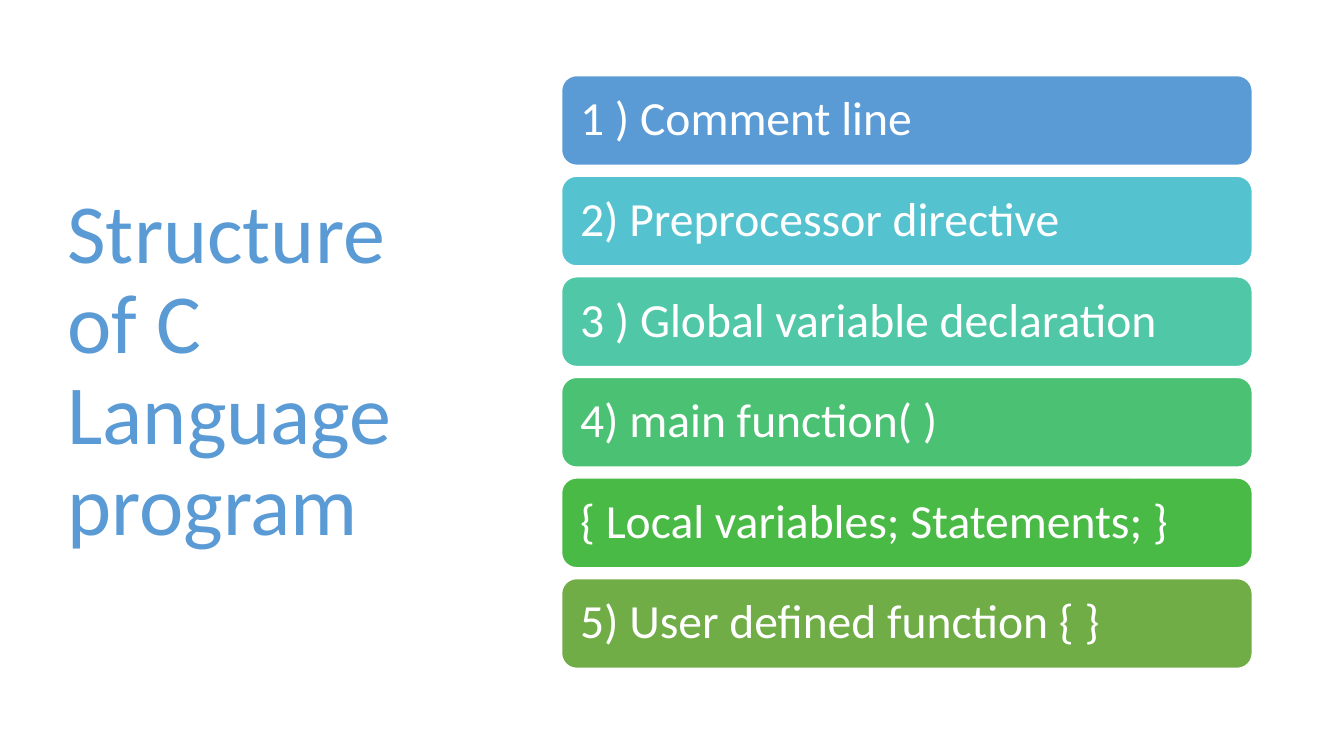
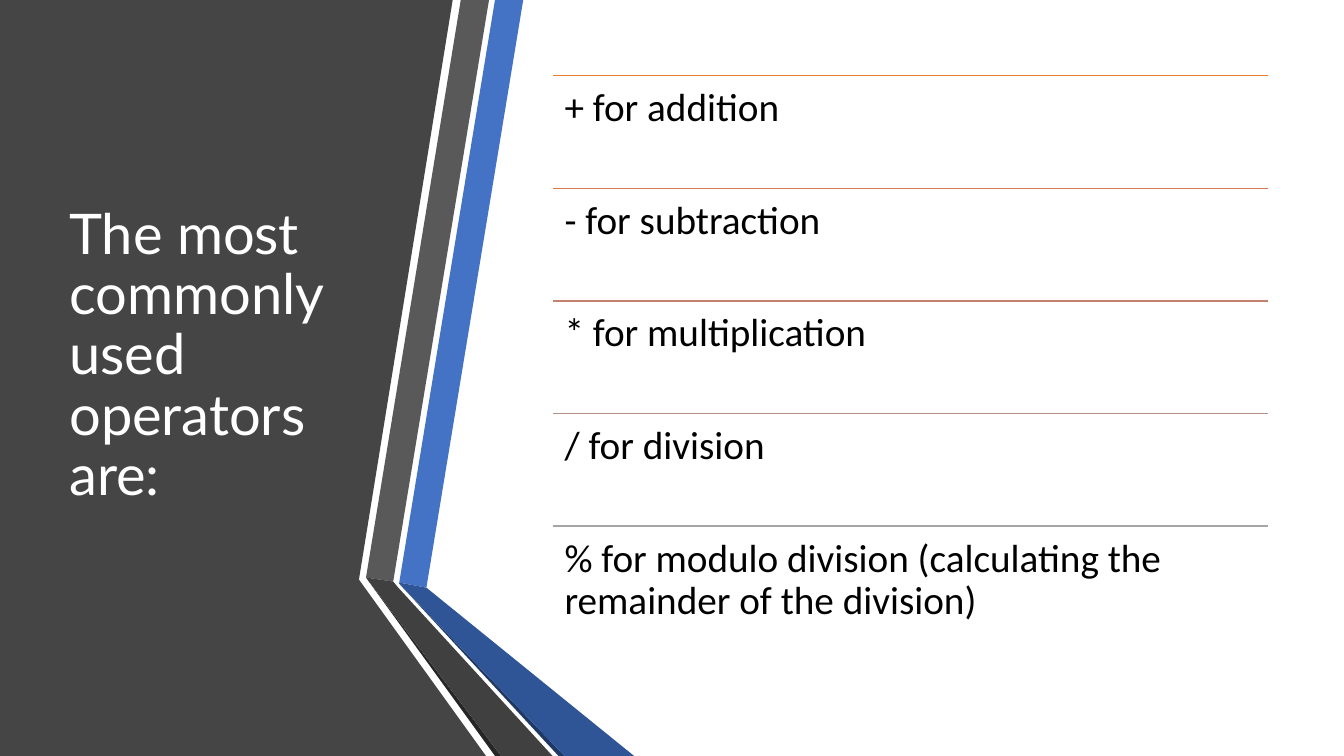
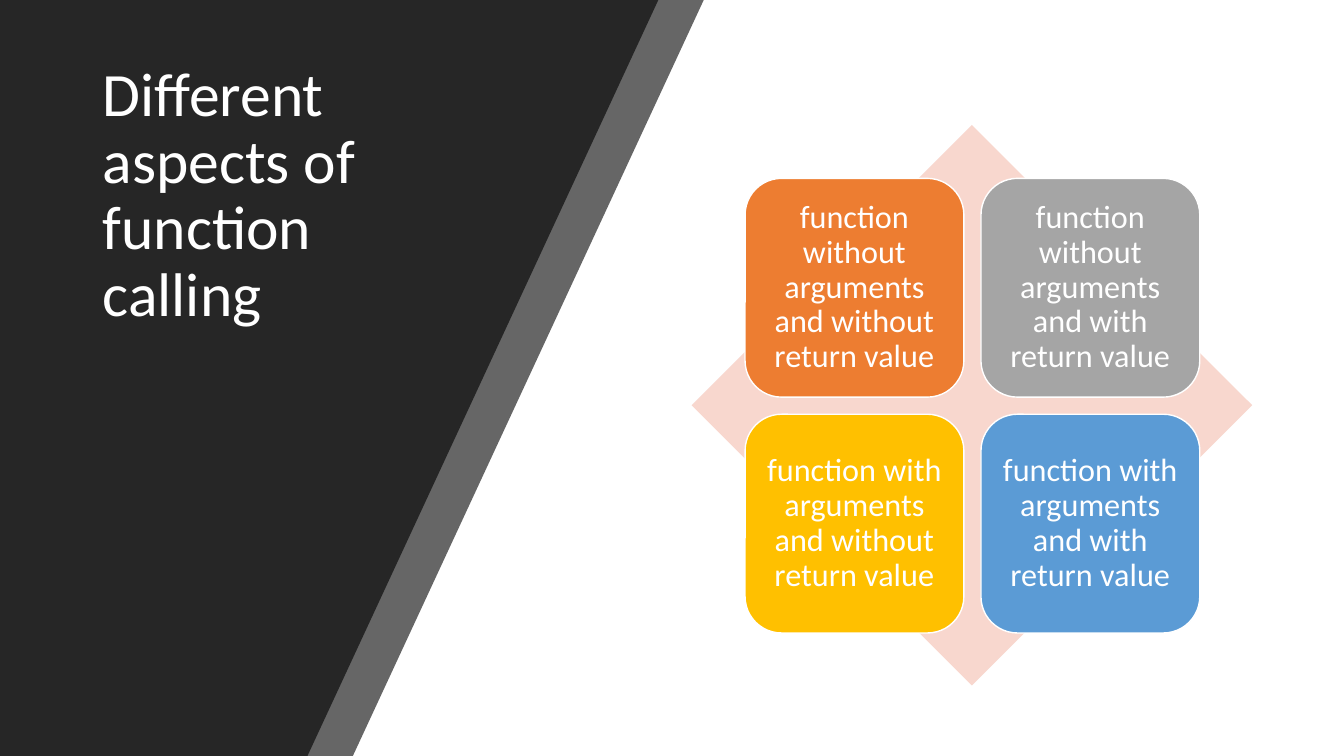
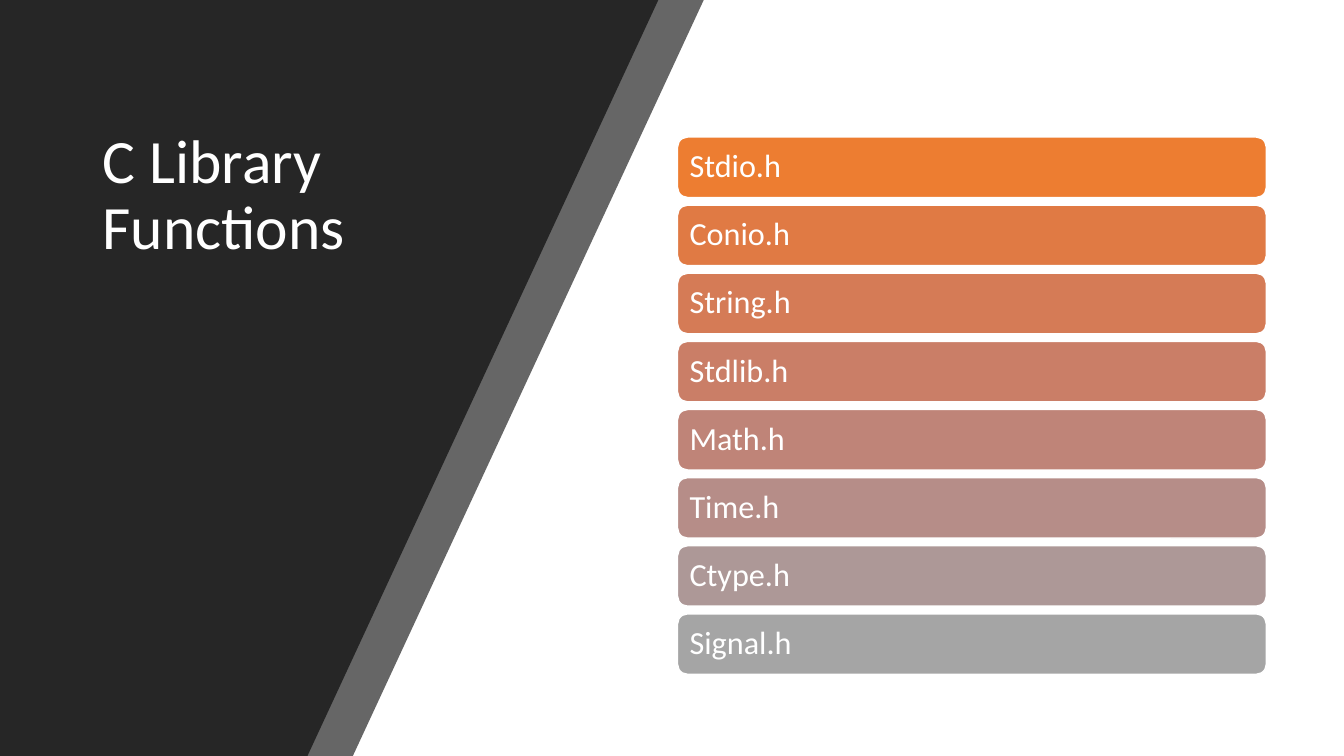
from dataclasses import dataclass

from lxml import etree
from pptx import Presentation
from pptx.dml.color import RGBColor
from pptx.enum.shapes import MSO_CONNECTOR, MSO_SHAPE
from pptx.enum.text import MSO_ANCHOR, PP_ALIGN
from pptx.oxml.ns import qn
from pptx.util import Inches, Pt

ROUNDED, DIAMOND = MSO_SHAPE.ROUNDED_RECTANGLE, MSO_SHAPE.DIAMOND
STRAIGHT = MSO_CONNECTOR.STRAIGHT
TOP, MIDDLE = MSO_ANCHOR.TOP, MSO_ANCHOR.MIDDLE
LEFT, CENTER = PP_ALIGN.LEFT, PP_ALIGN.CENTER


@dataclass(frozen=True)
class Theme:
    white: str = "FFFFFF"
    black: str = "000000"
    dark: str = "262626"
    panel: str = "454545"
    blue: str = "5B9BD5"
    orange: str = "ED7D31"
    gray: str = "A5A5A5"
    gold: str = "FFC000"
    blush: str = "F8D7CE"
    cool_steps: tuple = ("5B9BD5", "55C3CF", "50C8A7", "4BC174", "4ABA46", "70AD47")
    rule_steps: tuple = ("ED7D31", "D87A51", "C48170", "B4908B", "A5A5A5")
    warm_steps: tuple = ("ED7D31", "E07A44", "D57B56", "CA7E67",
                         "BF8478", "B68D88", "AD9897", "A5A5A5")
    font: str = "Calibri"
    alt_font: str = "Lato"
    hero_size: int = 60
    title_size: int = 44
    small_title_size: int = 40
    bar_size: int = 34
    list_size: int = 28
    label_size: int = 23


THEME = Theme()


def paint(shape, fill, line=None, opacity=100):
    """Give a shape a flat fill, an optional 1 pt outline and no shadow."""
    shape.shadow.inherit = False
    shape.fill.solid()
    shape.fill.fore_color.rgb = RGBColor.from_string(fill)
    if opacity < 100:
        color = shape.fill._xPr.find(qn("a:solidFill"))[0]
        etree.SubElement(color, qn("a:alpha"), val=str(opacity * 1000))
    if line:
        shape.line.color.rgb = RGBColor.from_string(line)
        shape.line.width = Pt(1)
    else:
        shape.line.fill.background()


def write(shape, text, size, color=THEME.white, font=THEME.font,
          align=LEFT, anchor=MIDDLE, inset=0.1, inset_y=None):
    frame = shape.text_frame
    frame.word_wrap = True
    frame.vertical_anchor = anchor
    frame.margin_left = frame.margin_right = Inches(inset)
    frame.margin_top = frame.margin_bottom = Inches(inset if inset_y is None else inset_y)
    paragraph = frame.paragraphs[0]
    paragraph.alignment = align
    paragraph.line_spacing = 0.9
    run = paragraph.add_run()
    run.text = text
    run.font.name = font
    run.font.size = Pt(size)
    run.font.color.rgb = RGBColor.from_string(color)


prs = Presentation()
prs.slide_width, prs.slide_height = Inches(13.33), Inches(7.5)
blank = prs.slide_layouts[6]

# Backdrops: outline points, colour, opacity
folded_ribbons = [
    ([(0, 0), (4.49, 0), (3.56, 5.75), (4.82, 7.5), (0, 7.5)], THEME.panel, 100),
    ([(3.96, 5.78), (4.23, 5.83), (5.19, 0), (4.91, 0)], "4472C4", 100),
    ([(4.85, 0), (4.57, 0), (3.63, 5.73), (3.9, 5.77)], "595959", 100),
    ([(3.63, 5.73), (4.91, 7.5), (4.97, 7.5)], THEME.dark, 100),
    ([(3.96, 5.79), (5.54, 7.5), (5.6, 7.5)], "203864", 100),
    ([(3.96, 5.79), (5.6, 7.5), (6.29, 7.5), (4.23, 5.83), (3.96, 5.78)], "2F5597", 100),
    ([(5.48, 7.5), (3.95, 5.83), (3.9, 5.77), (3.63, 5.73), (4.97, 7.5)], "404040", 100),
]
slanted_panel = [
    ([(0, 0), (6.98, 0), (3.5, 7.5), (0, 7.5)], THEME.dark, 70),
    ([(0, 0), (6.53, 0), (3.05, 7.5), (0, 7.5)], THEME.dark, 100),
]

# Slides with their backdrop and title
hero_style = dict(size=THEME.hero_size, color=THEME.blue)
folded_style = dict(size=THEME.small_title_size, font=THEME.alt_font)
slanted_style = dict(size=THEME.title_size)
slanted_title_box = (0.92, 0.48, 3.58, 2.94)
pages = [
    ("Structure of C Language program", (0.57, 0.68, 4.16, 6.02), hero_style, []),
    ("The most commonly used operators are:", (0.59, 0.75, 3.04, 5.58),
     folded_style, folded_ribbons),
    ("Different aspects of function calling", slanted_title_box, slanted_style, slanted_panel),
    ("C Library Functions", slanted_title_box, slanted_style, slanted_panel),
]
for title, box, style, backdrop in pages:
    slide = prs.slides.add_slide(blank)
    for points, color, opacity in backdrop:
        start, *rest = [(Inches(x), Inches(y)) for x, y in points]
        outline = slide.shapes.build_freeform(*start)
        outline.add_line_segments(rest, close=True)
        paint(outline.convert_to_shape(), color, opacity=opacity)
    heading = slide.shapes.add_textbox(*map(Inches, box))
    write(heading, title, inset_y=0.05, **style)

structure, operators, calling, library = prs.slides

# Stacks of bars: program parts and header files
program_parts = [
    "1 ) Comment line",
    "2) Preprocessor directive",
    "3 ) Global variable declaration",
    "4) main function( )",
    "{ Local variables; Statements; }",
    "5) User defined function { }",
]
headers = ["Stdio.h", "Conio.h", "String.h", "Stdlib.h",
           "Math.h", "Time.h", "Ctype.h", "Signal.h"]
stacks = [
    (structure, program_parts, THEME.cool_steps, (5.57, 6.85, 0.89), (0.75, 5.74),
     dict(size=THEME.bar_size, inset=0.14)),
    (library, headers, THEME.warm_steps, (6.72, 5.84, 0.6), (1.36, 6.09),
     dict(size=THEME.label_size, inset=0.09)),
]
for slide, labels, colors, (left, width, height), (first, last), style in stacks:
    pitch = (last - first) / (len(labels) - 1)
    for row, (label, color) in enumerate(zip(labels, colors)):
        bar = slide.shapes.add_shape(ROUNDED, Inches(left), Inches(first + row * pitch),
                                     Inches(width), Inches(height))
        paint(bar, color, line=THEME.white)
        write(bar, label, **style)

# Operators, each under its own rule
operator_notes = [
    "+ for addition",
    "- for subtraction",
    "* for multiplication",
    "/ for division",
    "% for modulo division (calculating the remainder of the division)",
]
left, width, first, last = 5.48, 7.1, 0.75, 5.22
pitch = (last - first) / (len(operator_notes) - 1)
for row, (note, color) in enumerate(zip(operator_notes, THEME.rule_steps)):
    y = Inches(first + row * pitch)
    rule = operators.shapes.add_connector(STRAIGHT, Inches(left), y, Inches(left + width), y)
    rule.line.color.rgb = RGBColor.from_string(color)
    rule.line.width = Pt(1)
    etree.SubElement(rule._element.spPr, qn("a:effectLst"))
    entry = operators.shapes.add_textbox(Inches(left), y, Inches(width), Inches(pitch))
    write(entry, note, THEME.list_size, color=THEME.black, anchor=TOP, inset=0.12)

# Function kinds in a two by two grid over a diamond
diamond = calling.shapes.add_shape(DIAMOND, Inches(6.86), Inches(1.24),
                                   Inches(5.56), Inches(5.56))
paint(diamond, THEME.blush)
function_kinds = [
    ("function without arguments and without return value", THEME.orange),
    ("function without arguments and with return value", THEME.gray),
    ("function with arguments and without return value", THEME.gold),
    ("function with arguments and with return value", THEME.blue),
]
tile_side, tile_pitch = 2.17, 2.34
for index, (kind, color) in enumerate(function_kinds):
    row, column = divmod(index, 2)
    tile = calling.shapes.add_shape(
        ROUNDED, Inches(7.39 + column * tile_pitch), Inches(1.77 + row * tile_pitch),
        Inches(tile_side), Inches(tile_side))
    paint(tile, color, line=THEME.white)
    write(tile, kind, THEME.label_size, align=CENTER, inset=0.09)

prs.save("out.pptx")
